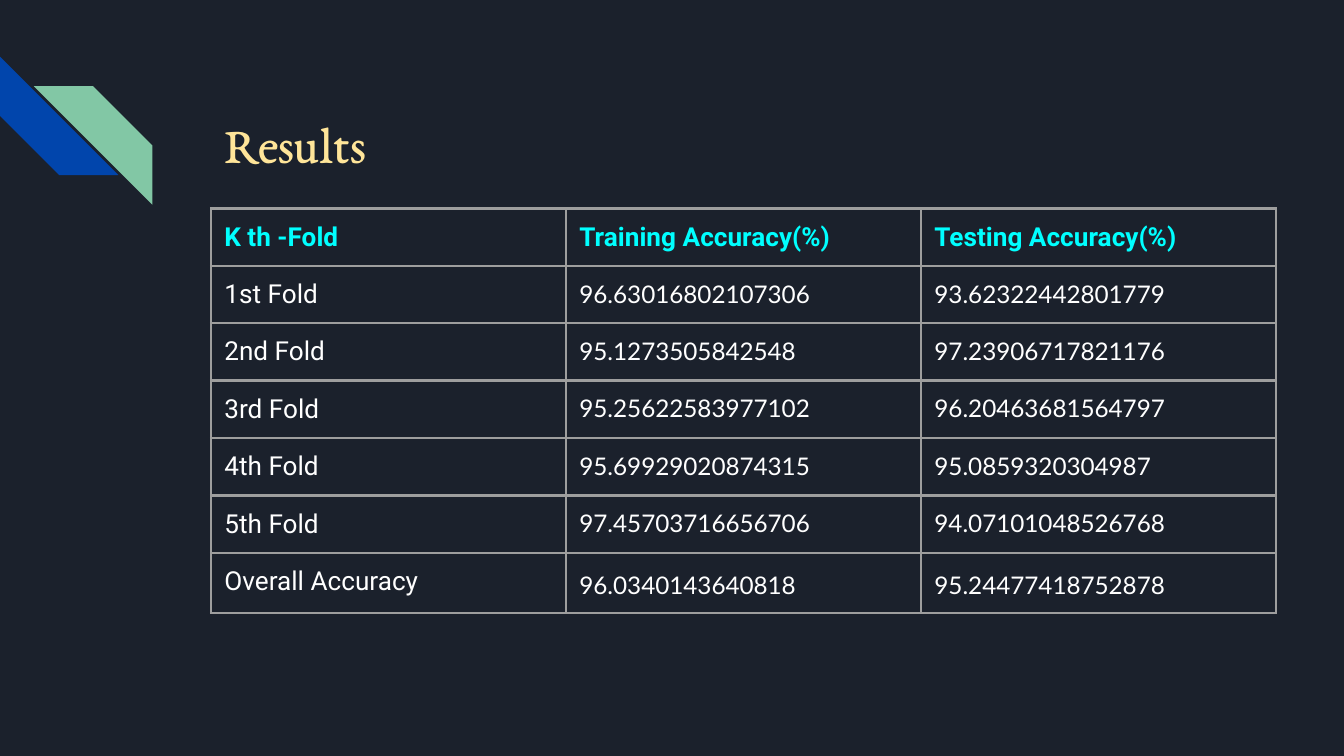
from lxml.etree import SubElement
from pptx import Presentation
from pptx.dml.color import RGBColor
from pptx.enum.shapes import MSO_SHAPE
from pptx.enum.text import MSO_ANCHOR, PP_ALIGN
from pptx.oxml.ns import qn
from pptx.util import Cm, Pt

COLORS = {
    "background": "1B212C",
    "blue": "0145AC",
    "green": "82C7A5",
    "title": "FFE599",
    "header": "00FFFF",
    "body": "FFFFFF",
    "border": "9E9E9E",
}
TITLE = "Results"
ROWS = [
    ("K th -Fold", "Training Accuracy(%)", "Testing Accuracy(%)"),
    ("1st Fold", "96.63016802107306", "93.62322442801779"),
    ("2nd Fold", "95.1273505842548", "97.23906717821176"),
    ("3rd Fold", "95.25622583977102", "96.20463681564797"),
    ("4th Fold", "95.69929020874315", "95.0859320304987"),
    ("5th Fold", "97.45703716656706", "94.07101048526768"),
    ("Overall Accuracy", "96.0340143640818", "95.24477418752878"),
]
# left, top, rotation, colour
STRIPES = [(0, 1.07, 270, "blue"), (0.64, 1.63, 90, "green")]
STRIPE_SIZE = Cm(2.24)
LEFT = Cm(3.99)
INSET = Cm(0.25)
COLUMN_WIDTH = Cm(6.71)
ROW_HEIGHT = Cm(1.07)
BORDER_WIDTH = Pt(1.5)


def color(name):
    return RGBColor.from_string(COLORS[name])


def format_text(paragraph, font_name, size, color_name, bold=False):
    font = paragraph.runs[0].font
    font.name, font.size, font.bold = font_name, Pt(size), bold
    font.color.rgb = color(color_name)


def set_insets(target):
    target.margin_left = target.margin_right = INSET
    target.margin_top = target.margin_bottom = INSET


def add_borders(cell):
    properties = cell._tc.get_or_add_tcPr()
    for side in ("lnL", "lnR", "lnT", "lnB"):
        line = SubElement(properties, qn(f"a:{side}"), w=str(BORDER_WIDTH))
        fill = SubElement(line, qn("a:solidFill"))
        SubElement(fill, qn("a:srgbClr"), val=COLORS["border"])


def add_stripe(slide, left, top, rotation, color_name):
    stripe = slide.shapes.add_shape(
        MSO_SHAPE.DIAGONAL_STRIPE, Cm(left), Cm(top), STRIPE_SIZE, STRIPE_SIZE)
    stripe.rotation = rotation
    stripe.shadow.inherit = False
    stripe.fill.solid()
    stripe.fill.fore_color.rgb = color(color_name)
    stripe.line.fill.background()


def format_title(title):
    title.left, title.top, title.width, title.height = (
        LEFT, Cm(1.85), Cm(6.91), Cm(1.93))
    frame = title.text_frame
    frame.text = TITLE
    frame.word_wrap = True
    frame.vertical_anchor = MSO_ANCHOR.TOP
    set_insets(frame)
    frame.paragraphs[0].alignment = PP_ALIGN.LEFT
    format_text(frame.paragraphs[0], "EB Garamond", 28, "title")


def add_results_table(slide):
    row_count, column_count = len(ROWS), len(ROWS[0])
    table = slide.shapes.add_table(
        row_count, column_count, LEFT, Cm(3.94),
        COLUMN_WIDTH * column_count, ROW_HEIGHT * row_count).table
    table.horz_banding = False
    for row_index, values in enumerate(ROWS):
        for column_index, value in enumerate(values):
            cell = table.cell(row_index, column_index)
            cell.text_frame.text = value
            set_insets(cell)
            add_borders(cell)
            cell.fill.background()
            paragraph = cell.text_frame.paragraphs[0]
            if row_index == 0:
                format_text(paragraph, "Roboto", 14, "header", bold=True)
            elif column_index == 0:
                format_text(paragraph, "Roboto", 14, "body")
            else:
                format_text(paragraph, "Lato", 13, "body")
                if row_index == row_count - 1:
                    paragraph.line_spacing = 1.15


def main():
    presentation = Presentation()
    presentation.slide_width, presentation.slide_height = Cm(25.4), Cm(14.29)
    slide = presentation.slides.add_slide(presentation.slide_layouts[5])
    slide.background.fill.solid()
    slide.background.fill.fore_color.rgb = color("background")
    for stripe in STRIPES:
        add_stripe(slide, *stripe)
    format_title(slide.shapes.title)
    add_results_table(slide)
    presentation.save("out.pptx")


if __name__ == "__main__":
    main()
